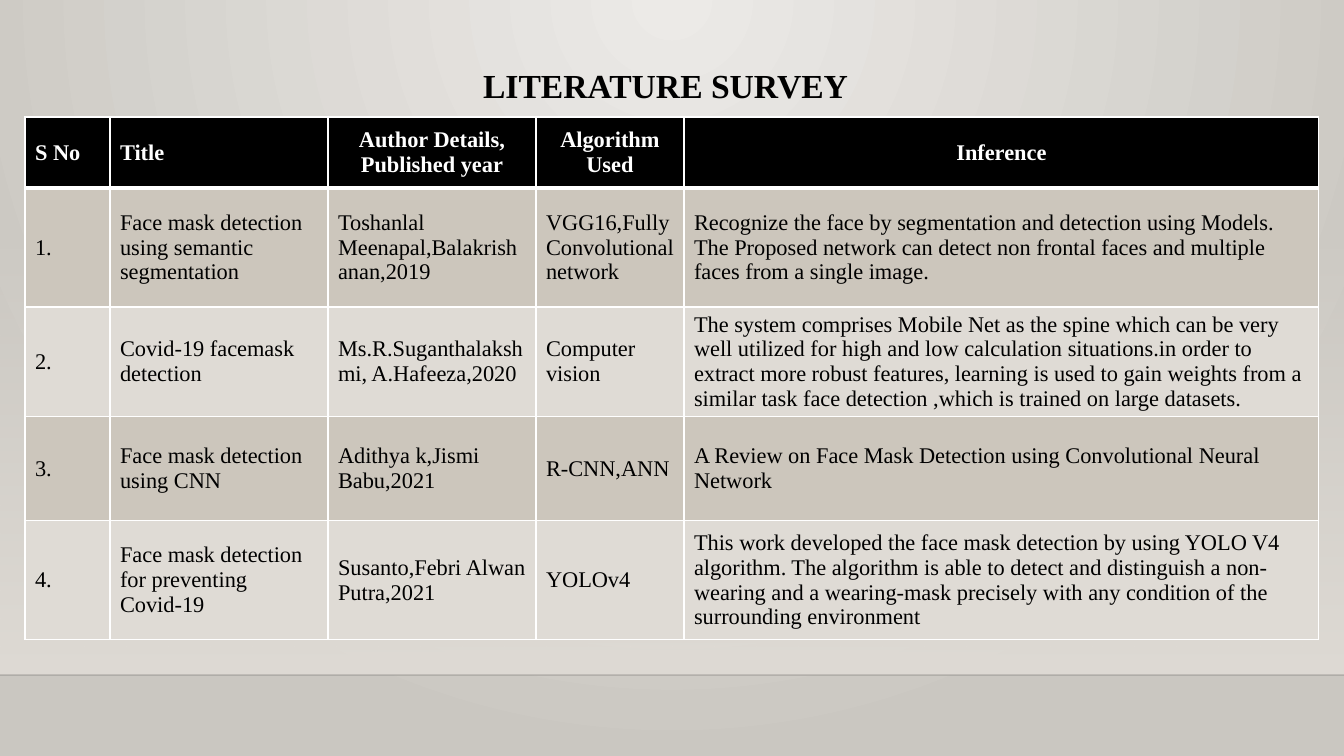
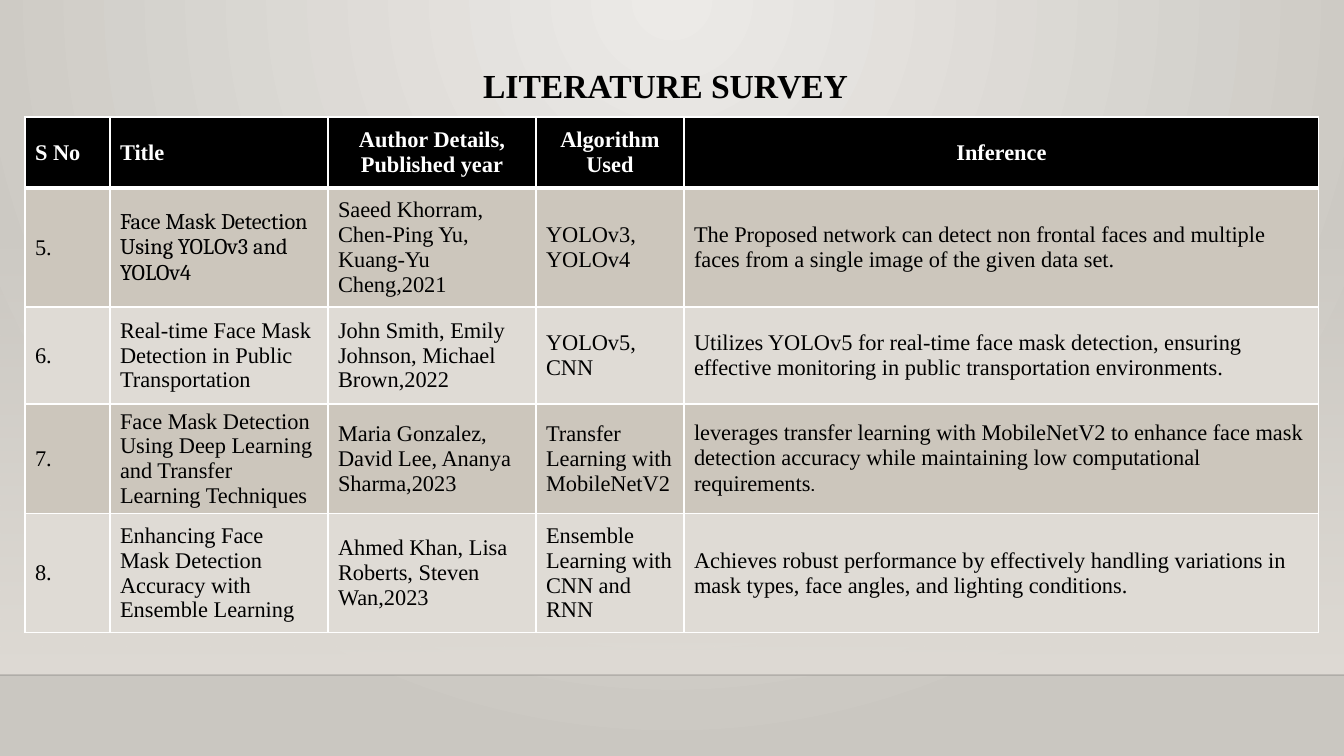
from lxml import etree
from pptx import Presentation
from pptx.dml.color import RGBColor as RGB
from pptx.enum.shapes import MSO_CONNECTOR as LINK, MSO_SHAPE as SHAPE
from pptx.enum.text import MSO_ANCHOR as ANCHOR, MSO_AUTO_SIZE as FIT, PP_ALIGN as ALIGN
from pptx.oxml.ns import qn
from pptx.util import Pt

# Content: a cell is a string (one paragraph a line) or a list of (text, font) runs
TITLE = "LITERATURE SURVEY"
HEAD = ["S No", "Title", "Author Details, Published year", "Algorithm Used", "Inference"]
FONT = "Times New Roman"
PAGES = [
    [
        ["1.", "Face mask detection using semantic segmentation",
         "Toshanlal Meenapal,Balakrishanan,2019",
         "VGG16,Fully Convolutional network",
         "Recognize the face by segmentation and detection using Models. The Proposed "
         "network can detect non frontal faces and multiple faces from a single image."],
        ["2.", "Covid-19 facemask detection",
         "Ms.R.Suganthalakshmi, A.Hafeeza,2020",
         "Computer vision",
         "The system comprises Mobile Net as the spine which can be very well utilized "
         "for high and low calculation situations.in order to extract more robust "
         "features, learning is used to gain weights from a similar task face detection "
         ",which is trained on large datasets."],
        ["3.", "Face mask detection using CNN",
         "Adithya k,Jismi\nBabu,2021",
         "R-CNN,ANN",
         "A Review on Face Mask Detection using Convolutional Neural Network"],
        ["4.", "Face mask detection for preventing Covid-19",
         "Susanto,Febri Alwan Putra,2021",
         "YOLOv4",
         "This work developed the face mask detection by using YOLO V4 algorithm. The "
         "algorithm is able to detect and distinguish a non-wearing and a wearing-mask "
         "precisely with any condition of the surrounding environment"],
    ],
    [
        ["5.", [("Face Mask Detection Using YOLOv3 and YOLOv4", "Cambria")],
         "Saeed Khorram, Chen-Ping Yu, Kuang-Yu Cheng,2021",
         "YOLOv3, YOLOv4",
         "The Proposed network can detect non frontal faces and multiple faces from a "
         "single image of the given data set."],
        ["6.", "Real-time Face Mask Detection in Public Transportation",
         "John Smith, Emily Johnson, Michael Brown,2022",
         "YOLOv5,\nCNN",
         "Utilizes YOLOv5 for real-time face mask detection, ensuring effective "
         "monitoring in public transportation environments."],
        ["7.", "Face Mask Detection Using Deep Learning and Transfer Learning Techniques",
         "Maria Gonzalez, David Lee, Ananya Sharma,2023",
         "Transfer Learning with MobileNetV2",
         [("leverages transfer learning with MobileNetV2 to enhance face mask detection "
           "accuracy while maintaining low computational requirements", FONT),
          (".", "Cabin")]],
        ["8.", "Enhancing Face Mask Detection Accuracy with Ensemble Learning",
         "Ahmed Khan, Lisa Roberts, Steven Wan,2023",
         "Ensemble Learning with CNN and RNN",
         "Achieves robust performance by effectively handling variations in mask types, "
         "face angles, and lighting conditions."],
    ],
]

# Colours
BLACK, WHITE = RGB(0, 0, 0), RGB(255, 255, 255)
GLOW, EDGE = RGB(0xEC, 0xEA, 0xE7), RGB(0xCA, 0xC7, 0xC1)
SAND, PALE = RGB(0xCC, 0xC6, 0xBC), RGB(0xDF, 0xDB, 0xD5)
INK = RGB(0, 0, 1)

# Lengths in px
WIDE, HIGH = 1344, 756
COLS = [85, 218, 208, 148, 635]
ROWS = [71, 119, 97, 104, 119]
GRID = (25, 117)
NAME = (473, 60, 732, 50)
BAND, FLOOR = 223, 675


def px(n):
    return round(n * 12192000 / WIDE)


def box(*nums):
    return [px(n) for n in nums]


def sub(node, tag, **attrs):
    return etree.SubElement(node, qn(tag), attrs)


def fade(color, pct):
    sub(color, "a:alpha", val=str(pct * 1000))


def blend(fill, *colors):
    fill.gradient()
    for i, (stop, color) in enumerate(zip(fill.gradient_stops, colors)):
        stop.color.rgb, stop.position = color, i


def write(para, runs, size, color, bold):
    for text, font in runs:
        run = para.add_run()
        run.text = text
        run.font.name, run.font.size, run.font.bold = font, Pt(size), bold
        run.font.color.rgb = color


# Backdrop, band and floor line live on the master
def dress(master, slide):
    back = master.background.fill
    blend(back, GLOW, EDGE)
    grad = next(master.element.iter(qn("a:gradFill")))
    grad.remove(grad.find(qn("a:lin")))
    ring = sub(grad, "a:path", path="circle")
    sub(ring, "a:fillToRect", l="43000", t="0", r="43000", b="100000")

    band = slide.shapes.add_shape(SHAPE.RECTANGLE, *box(0, BAND, WIDE, FLOOR - BAND))
    band.shadow.inherit = False
    band.line.fill.background()
    blend(band.fill, PALE, PALE)
    band.fill.gradient_angle = 270
    fade(next(band.element.spPr.iter(qn("a:srgbClr"))), 0)

    floor = slide.shapes.add_connector(LINK.STRAIGHT, *box(0, FLOOR, WIDE, FLOOR))
    floor.line.width = Pt(1)
    floor.line.color.rgb = INK
    props = floor.element.spPr
    fade(next(props.iter(qn("a:srgbClr"))), 20)
    sub(props, "a:effectLst")

    tree = master.shapes.element
    for i, part in enumerate([band, floor]):
        tree.insert(2 + i, part.element)


def frame(cell, row):
    props = cell._tc.get_or_add_tcPr()
    thick = {0: "a:lnB", 1: "a:lnT"}.get(row)
    for tag in ("a:lnL", "a:lnR", "a:lnT", "a:lnB"):
        edge = sub(props, tag, w=str(Pt(3 if tag == thick else 1)))
        sub(sub(edge, "a:solidFill"), "a:srgbClr", val=str(WHITE))


def fill_cell(cell, data, row, col):
    top = row == 0
    frame(cell, row)
    cell.fill.solid()
    cell.fill.fore_color.rgb = BLACK if top else SAND if row % 2 else PALE
    cell.vertical_anchor = ANCHOR.MIDDLE
    lines = [[(t, FONT)] for t in data.split("\n")] if isinstance(data, str) else [data]
    for i, runs in enumerate(lines):
        para = cell.text_frame.add_paragraph() if i else cell.text_frame.paragraphs[0]
        para.alignment = ALIGN.CENTER if top and col > 1 else ALIGN.LEFT
        write(para, runs, 16, WHITE if top else BLACK, top)


def add_grid(slide, rows):
    table = slide.shapes.add_table(
        len(ROWS), len(COLS), *box(*GRID, sum(COLS), sum(ROWS))).table
    for col, wide in zip(table.columns, COLS):
        col.width = px(wide)
    for row, high in zip(table.rows, ROWS):
        row.height = px(high)
    for r, cells in enumerate([HEAD] + rows):
        for c, data in enumerate(cells):
            fill_cell(table.cell(r, c), data, r, c)


def add_title(slide):
    name = slide.shapes.title
    name.left, name.top, name.width, name.height = box(*NAME)
    text = name.text_frame
    text.auto_size, text.vertical_anchor = FIT.NONE, ANCHOR.MIDDLE
    para = text.paragraphs[0]
    para.alignment = ALIGN.LEFT
    write(para, [(TITLE, FONT)], 24, BLACK, True)


def main():
    prs = Presentation()
    prs.slide_width, prs.slide_height = box(WIDE, HIGH)
    for i, rows in enumerate(PAGES):
        slide = prs.slides.add_slide(prs.slide_layouts[5])
        if i == 0:
            dress(prs.slide_master, slide)
        add_title(slide)
        add_grid(slide, rows)
    prs.save("out.pptx")


if __name__ == "__main__":
    main()
